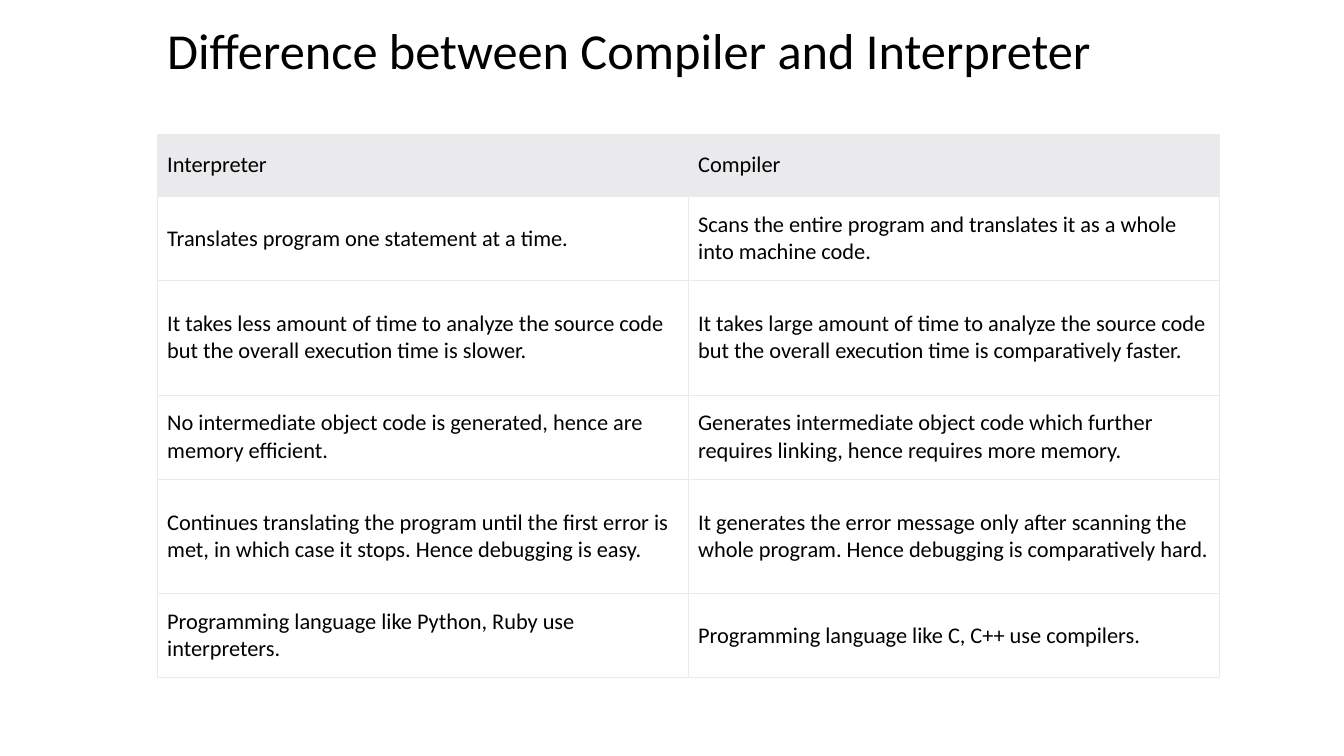
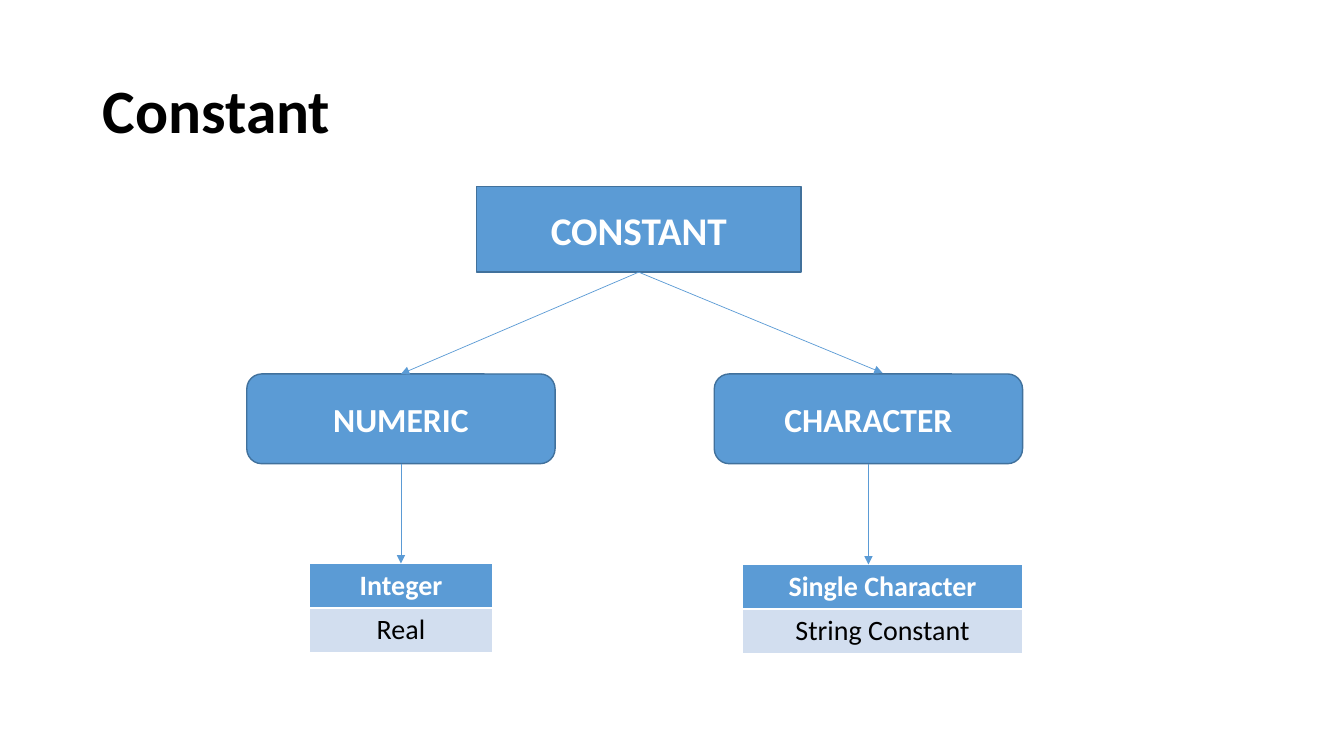
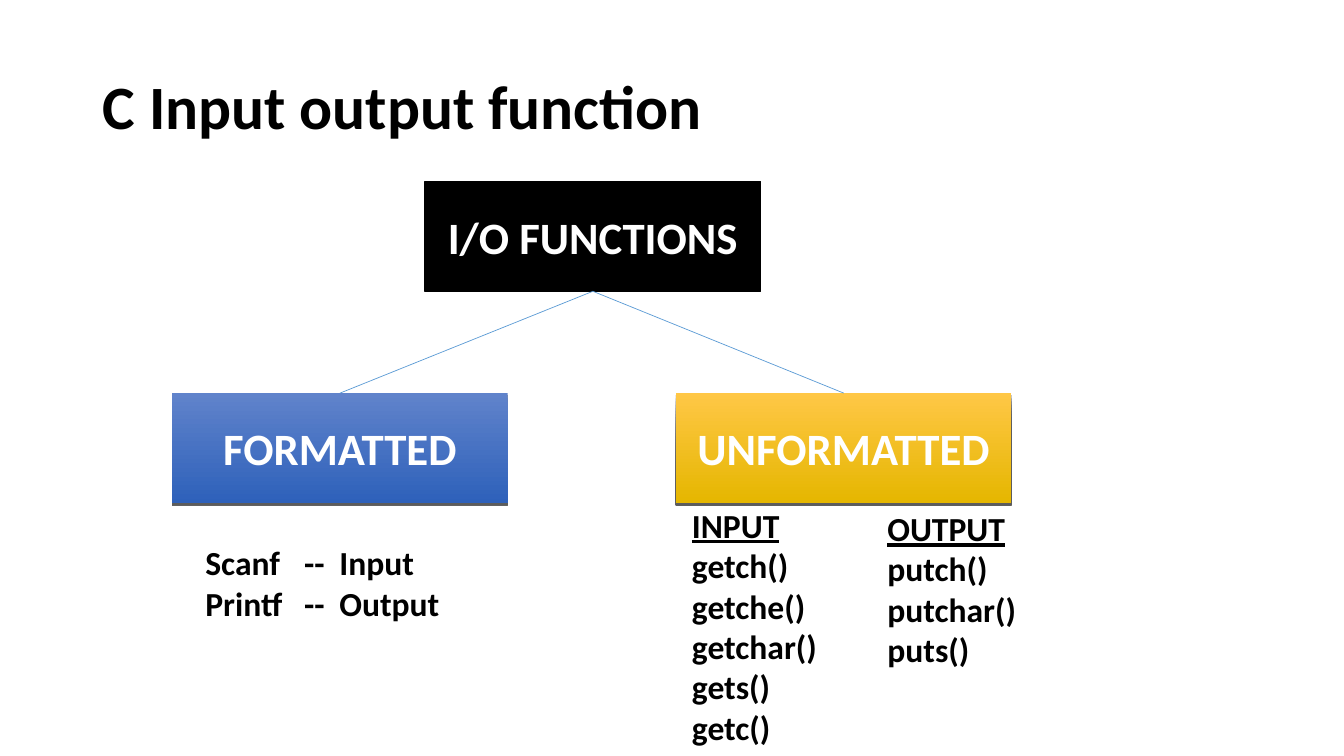
from dataclasses import dataclass

from lxml.etree import SubElement
from pptx import Presentation
from pptx.dml.color import RGBColor
from pptx.enum.shapes import MSO_CONNECTOR as Connector, MSO_SHAPE as Shape
from pptx.enum.text import MSO_ANCHOR as Anchor, MSO_AUTO_SIZE as AutoSize, PP_ALIGN as Align
from pptx.oxml.ns import qn
from pptx.util import Emu, Pt

EMU_PER_PX = 9144
TOP, BOTTOM = 0, 2


@dataclass(frozen=True)
class Theme:
    font: str = "Calibri"
    black: str = "000000"
    white: str = "FFFFFF"
    grey: str = "EAEAEC"
    blue: str = "5B9BD5"
    blue_edge: str = "41719C"
    pale_blue: str = "D2DEEF"
    indigo: tuple = ("6083CB", "2E61BA")
    gold: tuple = ("FFC746", "E5B600")
    wide_title: int = 36
    title: int = 44
    large_node: int = 32
    root_node: int = 28
    node: int = 24
    leaf: int = 20
    cell: int = 16
    hairline: float = 0.34
    thin: float = 0.45
    connector: float = 0.5
    outline: float = 1
    divider: float = 1.47


THEME = Theme()

COMPARISON = (
    ("Interpreter", "Compiler"),
    ("Translates program one statement at a time.",
     "Scans the entire program and translates it as a whole into machine code."),
    ("It takes less amount of time to analyze the source code but the overall execution time is slower.",
     "It takes large amount of time to analyze the source code but the overall execution time is "
     "comparatively faster."),
    ("No intermediate object code is generated, hence are memory efficient.",
     "Generates intermediate object code which further requires linking, hence requires more memory."),
    ("Continues translating the program until the first error is met, in which case it stops. "
     "Hence debugging is easy.",
     "It generates the error message only after scanning the whole program. "
     "Hence debugging is comparatively hard."),
    ("Programming language like Python, Ruby use interpreters.",
     "Programming language like C, C++ use compilers."),
)


def px(*lengths):
    return [Emu(length * EMU_PER_PX) for length in lengths]


def rgb(colour):
    return RGBColor.from_string(colour)


def style(para, size, colour=THEME.black, bold=False, align=Align.LEFT):
    para.alignment = align
    font = para.font
    font.name, font.size, font.bold = THEME.font, Pt(size), bold
    font.color.rgb = rgb(colour)


def set_margins(holder, left=10, top=5, right=10, bottom=5):
    (holder.margin_left, holder.margin_top,
     holder.margin_right, holder.margin_bottom) = px(left, top, right, bottom)


def add_page(deck, title, area=(92, 40, 1150, 145), size=THEME.title, bold=True):
    page = deck.slides.add_slide(deck.slide_layouts[5])
    box = page.shapes.title
    box.left, box.top, box.width, box.height = px(*area)
    frame = box.text_frame
    frame.text = title
    frame.word_wrap = True
    frame.auto_size = AutoSize.NONE
    frame.vertical_anchor = Anchor.MIDDLE
    set_margins(frame)
    para = frame.paragraphs[0]
    para.line_spacing = 0.9
    style(para, size, bold=bold)
    return page


def add_node(page, text, area, size, fill, edge=None, kind=Shape.RECTANGLE):
    node = page.shapes.add_shape(kind, *px(*area))
    if edge:
        node.fill.solid()
        node.fill.fore_color.rgb = rgb(fill)
        node.line.color.rgb = rgb(edge)
        node.line.width = Pt(THEME.outline)
    else:
        node.fill.gradient()
        node.fill.gradient_angle = 270
        for stop, colour in zip(node.fill.gradient_stops, fill):
            stop.color.rgb = rgb(colour)
        node.line.fill.background()
    node.shadow.inherit = False
    frame = node.text_frame
    frame.text = text
    frame.word_wrap = True
    frame.vertical_anchor = Anchor.MIDDLE
    set_margins(frame)
    style(frame.paragraphs[0], size, THEME.white, True, Align.CENTER)
    return node


def add_drop_shadow(node):
    effects = node._element.spPr.find(qn("a:effectLst"))
    shadow = SubElement(effects, qn("a:outerShdw"), blurRad="0", dist=str(Pt(1.5)),
                        dir="5400000", algn="ctr", rotWithShape="0")
    colour = SubElement(shadow, qn("a:srgbClr"), val=THEME.black)
    SubElement(colour, qn("a:alpha"), val="63000")


def add_link(page, parent, end, child=None, arrow=False):
    start_x = parent.left + parent.width // 2
    start_y = parent.top + parent.height
    link = page.shapes.add_connector(Connector.STRAIGHT, start_x, start_y, *px(*end))
    link.begin_connect(parent, BOTTOM)
    if child is not None:
        link.end_connect(child, TOP)
    link.line.color.rgb = rgb(THEME.blue)
    link.line.width = Pt(THEME.connector)
    if arrow:
        SubElement(link.line._get_or_add_ln(), qn("a:tailEnd"), type="triangle")
    SubElement(link._element.spPr, qn("a:effectLst"))


def set_borders(cell, colour, left, right, top, bottom):
    properties = cell._tc.get_or_add_tcPr()
    for side, width in zip("LRTB", (left, right, top, bottom)):
        line = SubElement(properties, qn(f"a:ln{side}"), w=str(Pt(width)))
        fill = SubElement(line, qn("a:solidFill"))
        SubElement(fill, qn("a:srgbClr"), val=colour)


def add_table(page, rows, left, top, column_width, heights):
    columns = len(rows[0])
    table = page.shapes.add_table(
        len(rows), columns, *px(left, top, column_width * columns, sum(heights))).table
    table.first_row = table.horz_banding = False
    for column in table.columns:
        column.width = px(column_width)[0]
    for row, height, texts in zip(table.rows, heights, rows):
        row.height = px(height)[0]
        for cell, text in zip(row.cells, texts):
            cell.text = text
    return table


def fill_cell(cell, colour):
    cell.fill.solid()
    cell.fill.fore_color.rgb = rgb(colour)


def add_comparison(page):
    table = add_table(page, COMPARISON, 156, 133, 527, (62, 83, 114, 83, 114, 83))
    for index, row in enumerate(table.rows):
        for cell in row.cells:
            set_borders(cell, THEME.grey, *[THEME.hairline] * 4)
            fill_cell(cell, THEME.white if index else THEME.grey)
            cell.vertical_anchor = Anchor.MIDDLE
            set_margins(cell, right=8)
            style(cell.text_frame.paragraphs[0], THEME.cell)


def add_leaf_pair(page, head, body, left, top, width):
    table = add_table(page, ((head,), (body,)), left, top, width, (43, 43))
    thin, divider = THEME.thin, THEME.divider
    looks = ((THEME.blue, THEME.white, True, thin, divider),
             (THEME.pale_blue, THEME.black, False, divider, thin))
    for row, (fill, colour, bold, above, below) in zip(table.rows, looks):
        cell = row.cells[0]
        set_borders(cell, THEME.white, thin, thin, above, below)
        fill_cell(cell, fill)
        set_margins(cell)
        style(cell.text_frame.paragraphs[0], THEME.leaf, colour, bold, Align.CENTER)


def add_lines(page, lines, area, heading=False, tabs=()):
    frame = page.shapes.add_textbox(*px(*area)).text_frame
    frame.word_wrap = True
    frame.auto_size = AutoSize.SHAPE_TO_FIT_TEXT
    set_margins(frame)
    frame.text = "\n".join(lines)
    for index, para in enumerate(frame.paragraphs):
        if tabs:
            stops = SubElement(para._p.get_or_add_pPr(), qn("a:tabLst"))
            for position in px(*tabs):
                SubElement(stops, qn("a:tab"), pos=str(position), algn="l")
        style(para, THEME.node, bold=True)
        para.font.underline = heading and index == 0


def build_comparison(deck):
    page = add_page(deck, "Difference between Compiler and Interpreter",
                    (156, 15, 1021, 75), THEME.wide_title, False)
    add_comparison(page)


def build_constants(deck):
    page = add_page(deck, "Constant")
    root = add_node(page, "CONSTANT", (473, 185, 322, 85), THEME.root_node,
                    THEME.blue, THEME.blue_edge)
    numeric, character = [
        add_node(page, text, (left, 371, 306, 89), THEME.node,
                 THEME.blue, THEME.blue_edge, Shape.ROUNDED_RECTANGLE)
        for text, left in (("NUMERIC", 245), ("CHARACTER", 709))]
    add_leaf_pair(page, "Integer", "Real", 307, 559, 182)
    add_leaf_pair(page, "Single Character", "String Constant", 737, 560, 278)
    add_link(page, root, (398, 371), numeric, arrow=True)
    add_link(page, root, (876, 370), arrow=True)
    add_link(page, numeric, (398, 559), arrow=True)
    add_link(page, character, (862, 560), arrow=True)


def build_functions(deck):
    page = add_page(deck, "C Input output function", (92, 36, 1150, 145))
    root = add_node(page, "I/O FUNCTIONS", (422, 180, 333, 109), THEME.large_node,
                    THEME.black, THEME.black)
    for text, left, fill in (("FORMATTED", 171, THEME.indigo),
                             ("UNFORMATTED", 671, THEME.gold)):
        node = add_node(page, text, (left, 390, 333, 109), THEME.large_node, fill)
        add_drop_shadow(node)
        add_link(page, root, (left + 166, 390), node)
    add_lines(page, ("Scanf\t--\tInput", "Printf\t--\tOutput"),
              (194, 533, 292, 90), tabs=(98, 133))
    add_lines(page, ("INPUT", "getch()", "getche()", "getchar()", "gets()", "getc()"),
              (677, 496, 160, 250), heading=True)
    add_lines(page, ("OUTPUT", "putch()", "putchar()", "puts()"),
              (871, 499, 160, 170), heading=True)


def main():
    deck = Presentation()
    deck.slide_width, deck.slide_height = px(1334, 750)
    build_comparison(deck)
    build_constants(deck)
    build_functions(deck)
    deck.save("out.pptx")


if __name__ == "__main__":
    main()
